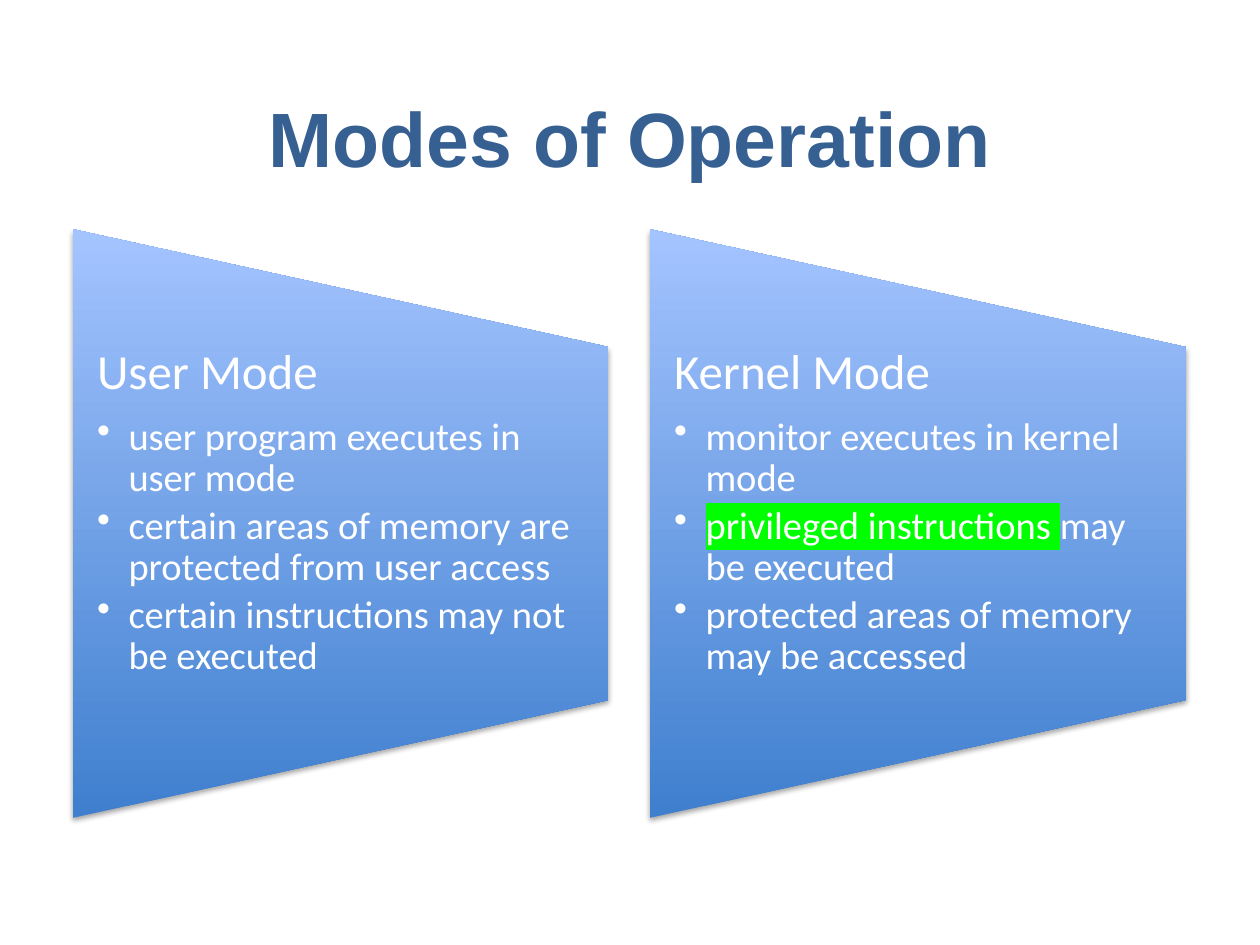
from dataclasses import dataclass

from lxml import etree
from pptx import Presentation
from pptx.dml.color import RGBColor
from pptx.enum.shapes import MSO_SHAPE
from pptx.enum.text import MSO_ANCHOR, PP_ALIGN
from pptx.oxml import parse_xml
from pptx.oxml.ns import nsdecls, qn
from pptx.slide import Slide
from pptx.text.text import TextFrame, _Paragraph, _Run
from pptx.util import Inches, Pt

TRAPEZOID = MSO_SHAPE.FLOWCHART_MANUAL_OPERATION
MIDDLE, TOP = MSO_ANCHOR.MIDDLE, MSO_ANCHOR.TOP
CENTER = PP_ALIGN.CENTER


@dataclass(frozen=True)
class Theme:
    title_font: str = "Arial"
    body_font: str = "Calibri"
    title_size: int = 44
    heading_size: int = 28
    bullet_size: int = 22
    title_color: str = "376092"
    text_color: str = "FFFFFF"
    highlight: str = "00FF00"
    panel_bottom: str = "3F7FCE"
    panel_top: str = "A4C4FF"
    shadow: str = "000000"


@dataclass(frozen=True)
class Bullet:
    text: str
    highlighted: str = ""


@dataclass(frozen=True)
class Mode:
    heading: str
    bullets: tuple[Bullet, ...]


THEME = Theme()
PANEL_LEFT, PANEL_TOP, PANEL_STEP = 0.58, 1.82, 4.58
PANEL_WIDTH, PANEL_HEIGHT = 4.25, 4.67
TEXT_INSET = 0.19
BULLET_INDENT = Inches(0.25)

MODES = (
    Mode("User Mode", (
        Bullet("user program executes in user mode"),
        Bullet("certain areas of memory are protected from user access"),
        Bullet("certain instructions may not be executed"),
    )),
    Mode("Kernel Mode", (
        Bullet("monitor executes in kernel mode"),
        Bullet("may be executed", highlighted="privileged instructions "),
        Bullet("protected areas of memory may be accessed"),
    )),
)


def format_run(run: _Run, font: str, size: int, color: str) -> None:
    run.font.name = font
    run.font.size = Pt(size)
    run.font.color.rgb = RGBColor.from_string(color)


def space_paragraph(paragraph: _Paragraph, after_percent: int) -> None:
    """Tighten the lines and set the gap below as a share of the line."""
    paragraph.line_spacing = 0.9
    gap = etree.SubElement(paragraph._p.get_or_add_pPr(), qn("a:spcAft"))
    etree.SubElement(gap, qn("a:spcPct")).set("val", str(after_percent * 1000))


def make_bullet(paragraph: _Paragraph) -> None:
    properties = paragraph._p.get_or_add_pPr()
    properties.set("marL", str(BULLET_INDENT))
    properties.set("indent", str(-BULLET_INDENT))
    etree.SubElement(properties, qn("a:buChar")).set("char", "•")


def highlight_run(run: _Run) -> None:
    marker = parse_xml(
        f'<a:highlight {nsdecls("a")}><a:srgbClr val="{THEME.highlight}"/></a:highlight>'
    )
    run.font._element.find(qn("a:solidFill")).addnext(marker)


def add_text_frame(slide: Slide, left: float, top: float, width: float,
                   height: float, inset: float, anchor: MSO_ANCHOR) -> TextFrame:
    box = slide.shapes.add_textbox(
        Inches(left), Inches(top), Inches(width), Inches(height))
    frame = box.text_frame
    frame.word_wrap = True
    frame.vertical_anchor = anchor
    frame.margin_left = frame.margin_right = Inches(inset)
    frame.margin_top = frame.margin_bottom = 0
    return frame


def add_title(slide: Slide, title: str) -> None:
    frame = add_text_frame(slide, 0.72, 0.5, 8.56, 1.17, 0.1, MIDDLE)
    frame.text = title
    heading = frame.paragraphs[0]
    heading.alignment = CENTER
    format_run(heading.runs[0], THEME.title_font, THEME.title_size, THEME.title_color)
    heading.runs[0].font.bold = True


def add_panel(slide: Slide, left: float) -> None:
    """Draw a trapezoid on its side, with an upright gradient and a soft shadow."""
    turn = (PANEL_HEIGHT - PANEL_WIDTH) / 2
    panel = slide.shapes.add_shape(
        TRAPEZOID, Inches(left - turn), Inches(PANEL_TOP + turn),
        Inches(PANEL_HEIGHT), Inches(PANEL_WIDTH))
    panel.rotation = 270
    panel.line.fill.background()
    outline = panel._element.spPr.find(qn("a:ln"))
    outline.addprevious(parse_xml(
        f'<a:gradFill {nsdecls("a")} rotWithShape="0"><a:gsLst>'
        f'<a:gs pos="0"><a:srgbClr val="{THEME.panel_bottom}"/></a:gs>'
        f'<a:gs pos="100000"><a:srgbClr val="{THEME.panel_top}"/></a:gs>'
        '</a:gsLst><a:lin ang="16200000" scaled="0"/></a:gradFill>'))
    outline.addnext(parse_xml(
        f'<a:effectLst {nsdecls("a")}><a:outerShdw blurRad="{Pt(3.1)}" '
        f'dist="{Pt(1.8)}" dir="5400000" rotWithShape="0">'
        f'<a:srgbClr val="{THEME.shadow}"><a:alpha val="35000"/></a:srgbClr>'
        '</a:outerShdw></a:effectLst>'))


def add_mode(slide: Slide, mode: Mode, left: float) -> None:
    add_panel(slide, left)
    margin = PANEL_HEIGHT / 5
    frame = add_text_frame(slide, left, PANEL_TOP + margin, PANEL_WIDTH,
                           PANEL_HEIGHT - 2 * margin, TEXT_INSET, TOP)
    frame.text = mode.heading
    heading = frame.paragraphs[0]
    space_paragraph(heading, 35)
    format_run(heading.runs[0], THEME.body_font, THEME.heading_size, THEME.text_color)

    for bullet in mode.bullets:
        paragraph = frame.add_paragraph()
        paragraph.level = 1
        space_paragraph(paragraph, 15)
        make_bullet(paragraph)
        for text in filter(None, (bullet.highlighted, bullet.text)):
            run = paragraph.add_run()
            run.text = text
            format_run(run, THEME.body_font, THEME.bullet_size, THEME.text_color)
        if bullet.highlighted:
            highlight_run(paragraph.runs[0])


def main() -> None:
    presentation = Presentation()
    presentation.slide_width = Inches(10)
    presentation.slide_height = Inches(7.5)
    slide = presentation.slides.add_slide(presentation.slide_layouts[6])
    add_title(slide, "Modes of Operation")
    for index, mode in enumerate(MODES):
        add_mode(slide, mode, PANEL_LEFT + index * PANEL_STEP)
    presentation.save("out.pptx")


if __name__ == "__main__":
    main()
